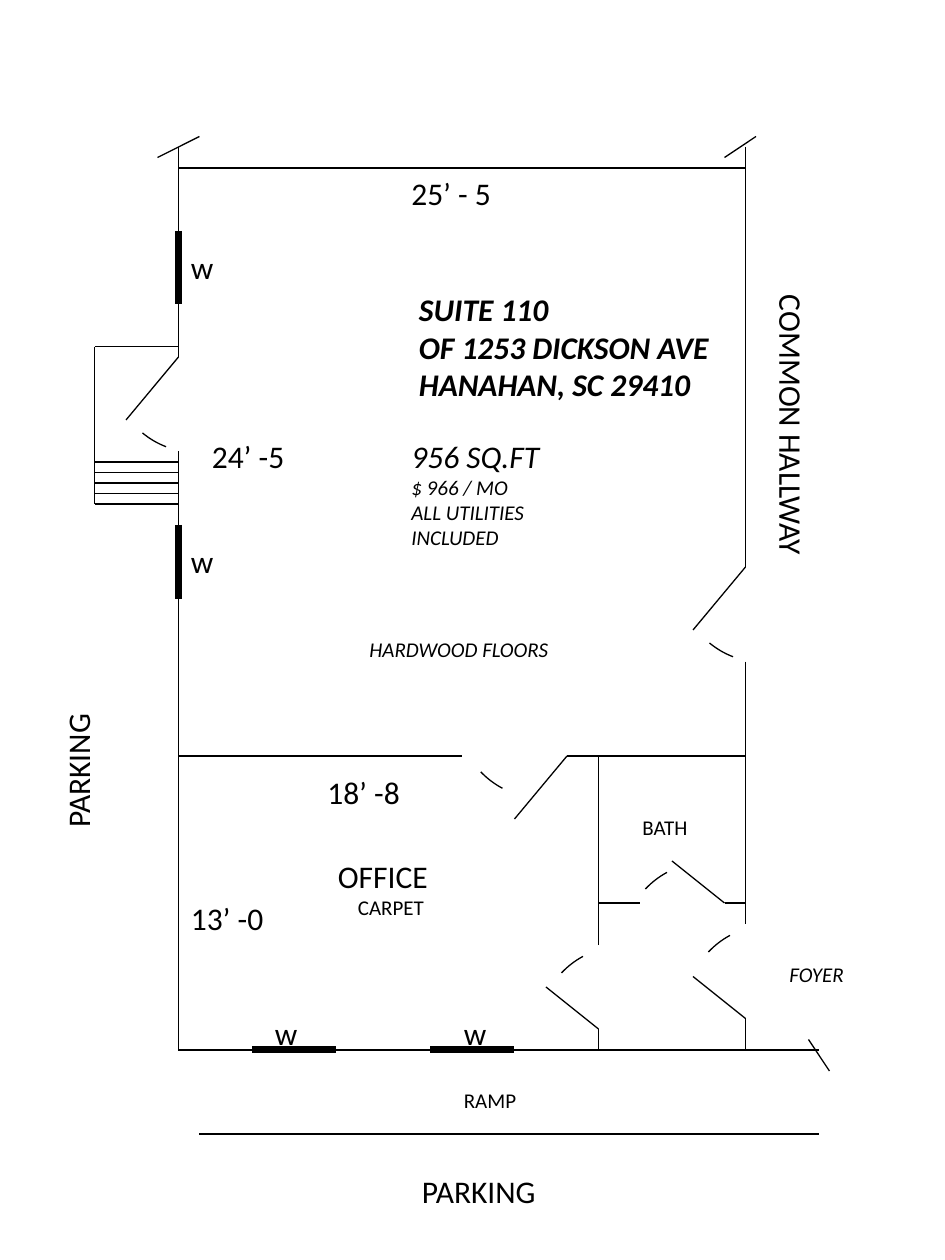
from dataclasses import dataclass

from lxml import etree
from pptx import Presentation
from pptx.dml.color import RGBColor
from pptx.enum.shapes import MSO_CONNECTOR, MSO_SHAPE
from pptx.enum.text import MSO_ANCHOR, MSO_AUTO_SIZE, PP_ALIGN
from pptx.oxml.ns import qn
from pptx.util import Cm, Length, Pt

STRAIGHT, ARC = MSO_CONNECTOR.STRAIGHT, MSO_SHAPE.ARC
TOP, LEFT, NO_FIT = MSO_ANCHOR.TOP, PP_ALIGN.LEFT, MSO_AUTO_SIZE.NONE

BLACK = RGBColor(0, 0, 0)
FONT = "Calibri"
LARGE, SMALL = 18, 12
WALL_PT, WINDOW_PT = 0.75, 4
UNIT_CM = 2.54 / 12  # all positions of the plan lie on this grid
WEST, EAST, BATH_WALL = 17, 71, 57
NORTH, MIDDLE, SOUTH = 16, 72, 100
STAIR_LEFT = 9
SWING_SIZE = (18, 17)
SWING_START = 206.03


@dataclass(frozen=True)
class Stroke:
    x1: float
    y1: float
    x2: float
    y2: float
    width: float = WALL_PT


@dataclass(frozen=True)
class Swing:
    left: float
    top: float
    rotation: float


@dataclass(frozen=True)
class Line:
    text: str
    size: int = LARGE
    indent: float = 0


@dataclass(frozen=True)
class Label:
    left: float
    top: float
    width: float
    height: float
    lines: tuple[Line, ...]
    italic: bool = False
    bold: bool = False
    rotation: float = 0


WALLS = [
    Stroke(WEST, SOUTH, 78, SOUTH),
    Stroke(WEST, SOUTH, WEST, 43),
    Stroke(WEST, 34, WEST, 14),
    Stroke(WEST, NORTH, EAST, NORTH),
    Stroke(EAST, 14, EAST, 54),
    Stroke(EAST, 63, EAST, 88),
    Stroke(EAST, SOUTH, EAST, 97),
    Stroke(BATH_WALL, SOUTH, BATH_WALL, 98),
    Stroke(BATH_WALL, 90, BATH_WALL, MIDDLE),
    Stroke(BATH_WALL, 86, 61, 86),
    Stroke(69, 86, EAST, 86),
    Stroke(EAST, MIDDLE, 54, MIDDLE),
    Stroke(44, MIDDLE, WEST, MIDDLE),
]
DOORS = [
    Stroke(x, y, x - 5, y + rise)
    for x, y, rise in [
        (EAST, 97, -4), (69, 86, -4), (BATH_WALL, 98, -4),
        (EAST, 54, 6), (WEST, 34, 6), (54, MIDDLE, 6),
    ]
]
SWINGS = [
    Swing(10.3, 25.8, 129.6),
    Swing(43.3, 58.8, 136.4),
    Swing(64.3, 45.8, 129.6),
    Swing(50.8, 90.5, 241.7),
    Swing(58.8, 82.5, 241.7),
    Swing(64.8, 88.5, 241.7),
]
WINDOWS = [
    Stroke(24, SOUTH, 32, SOUTH, WINDOW_PT),
    Stroke(41, SOUTH, 49, SOUTH, WINDOW_PT),
    Stroke(WEST, 50, WEST, 57, WINDOW_PT),
    Stroke(WEST, 22, WEST, 29, WINDOW_PT),
]
STAIRS = [
    Stroke(WEST, 33, STAIR_LEFT, 33),
    Stroke(STAIR_LEFT, 33, STAIR_LEFT, 48),
    *[Stroke(STAIR_LEFT, y, WEST, y) for y in range(44, 49)],
]
RAMP_EDGE = Stroke(19, 108, 78, 108)
BREAK_MARKS = [
    Stroke(77, 99, 79, 102),
    Stroke(15, 15, 19, 13),
    Stroke(69, 15, 72, 13),
]

ADDRESS = Label(32, 27, 37, 12.1, (
    Line("SUITE 110", indent=6.7),
    Line("OF 1253 DICKSON AVE"),
    Line("HANAHAN, SC 29410"),
), italic=True, bold=True)
WINDOW_LABELS = [
    Label(x, y, 8, 4.8, (Line("w"),))
    for x, y in [(17, 23), (17, 51), (25, 96), (43, 96)]
]
DIMENSIONS = [
    Label(x, y, 12, 4.8, (Line(text),))
    for x, y, text in [
        (38, 16, "25’ - 5"), (19, 41, "24’ -5"),
        (30, 73, "18’ -8"), (17, 85, "13’ -0"),
    ]
]
PLACES = [
    Label(60, 77, 12, 3.6, (Line("BATH", SMALL),)),
    Label(31, 81, 16, 8.5, (Line("OFFICE"), Line("CARPET", SMALL, 1.9))),
    Label(38, 41, 21, 12.1, (
        Line("956 SQ.FT"),
        Line("$ 966 / MO", SMALL),
        Line("ALL UTILITIES", SMALL),
        Line("INCLUDED", SMALL),
    ), italic=True),
    Label(34, 60, 32, 3.6, (Line("HARDWOOD FLOORS", SMALL),), italic=True),
    Label(74, 91, 32, 3.6, (Line("FOYER", SMALL),), italic=True),
    Label(52.4, 47.5, 46, 4.8, (Line("COMMON HALLWAY"),), rotation=90),
    Label(-15.6, 54.6, 46, 4.8, (Line("PARKING"),), rotation=270),
    Label(39, 111, 46, 4.8, (Line("PARKING"),)),
    Label(43, 103, 12, 3.6, (Line("RAMP", SMALL),)),
]


def grid(units: float) -> Length:
    """Turn grid units into a length."""
    return Cm(units * UNIT_CM)


def set_all(target, values: dict) -> None:
    for name, value in values.items():
        setattr(target, name, value)


def draw_stroke(slide, stroke: Stroke) -> None:
    ends = map(grid, (stroke.x1, stroke.y1, stroke.x2, stroke.y2))
    connector = slide.shapes.add_connector(STRAIGHT, *ends)
    connector.line.color.rgb = BLACK
    connector.line.width = Pt(stroke.width)
    etree.SubElement(connector._element.spPr, qn("a:effectLst"))


def draw_swing(slide, swing: Swing) -> None:
    box = map(grid, (swing.left, swing.top, *SWING_SIZE))
    arc = slide.shapes.add_shape(ARC, *box)
    arc.adjustments[0], arc.adjustments[1] = SWING_START, 0
    arc.rotation = swing.rotation
    arc.shadow.inherit = False
    arc.fill.background()
    arc.line.color.rgb = BLACK
    arc.line.width = Pt(WALL_PT)


def fill_label(shape, label: Label) -> None:
    """Place a text shape and write the label's lines into it."""
    set_all(shape, {
        "left": grid(label.left), "top": grid(label.top),
        "width": grid(label.width), "height": grid(label.height),
        "rotation": label.rotation,
    })
    frame = shape.text_frame
    set_all(frame, {"word_wrap": True, "auto_size": NO_FIT, "vertical_anchor": TOP})
    for index, line in enumerate(label.lines):
        paragraph = frame.add_paragraph() if index else frame.paragraphs[0]
        paragraph.alignment = LEFT
        if line.indent:
            paragraph._p.get_or_add_pPr().set("marL", str(grid(line.indent)))
        run = paragraph.add_run()
        run.text = line.text
        set_all(run.font, {
            "name": FONT, "size": Pt(line.size),
            "bold": label.bold, "italic": label.italic,
        })
        run.font.color.rgb = BLACK


def main() -> None:
    deck = Presentation()
    deck.slide_width, deck.slide_height = Cm(19.05), Cm(25.4)
    slide = deck.slides.add_slide(deck.slide_layouts.get_by_name("Title Only"))
    fill_label(slide.shapes.title, ADDRESS)
    for stroke in [*WALLS, *DOORS, *WINDOWS, *STAIRS, RAMP_EDGE, *BREAK_MARKS]:
        draw_stroke(slide, stroke)
    for swing in SWINGS:
        draw_swing(slide, swing)
    for label in [*WINDOW_LABELS, *DIMENSIONS, *PLACES]:
        fill_label(slide.shapes.add_textbox(0, 0, 0, 0), label)
    deck.save("out.pptx")


if __name__ == "__main__":
    main()
